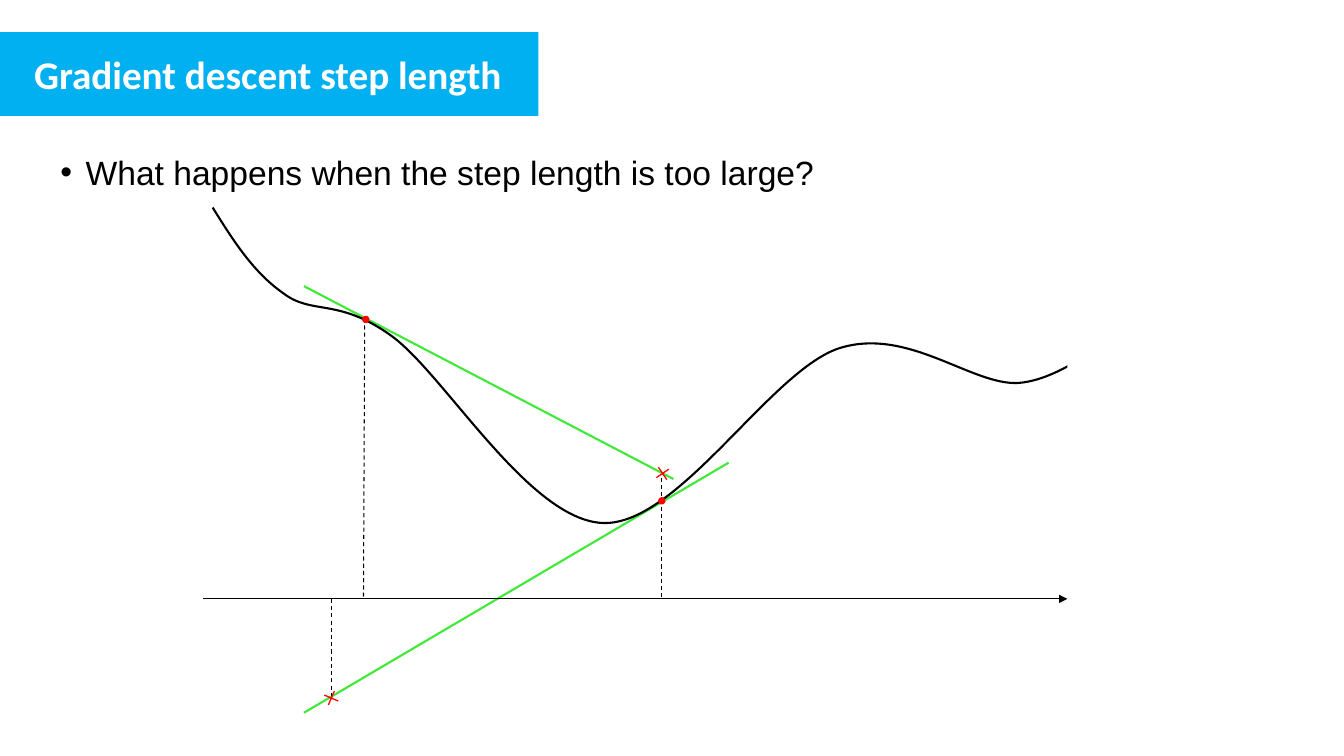
"""Build a slide on gradient descent with too large a step length."""
import pptx
import pptx.dml.color
import pptx.enum.dml
import pptx.enum.shapes
import pptx.enum.text
import pptx.oxml
import pptx.oxml.ns
import pptx.util
from pptx.util import Cm

BLACK = pptx.dml.color.RGBColor(0x00, 0x00, 0x00)
WHITE = pptx.dml.color.RGBColor(0xFF, 0xFF, 0xFF)
BANNER_BLUE = pptx.dml.color.RGBColor(0x00, 0xB0, 0xF0)
TANGENT_GREEN = pptx.dml.color.RGBColor(0x3F, 0xE9, 0x37)
POINT_RED = pptx.dml.color.RGBColor(0xFF, 0x00, 0x00)

AXIS_Y = 15.09
AXIS_END = 26.9
DOT_SIZE = 0.15
CROSS_SIZE = 0.38

LOSS_START = (5.36, 5.23)
LOSS_SEGMENTS = [
    ((5.87, 6.05), (6.38, 6.86), (7.14, 7.39)),
    ((7.87, 7.95), (8.51, 7.49), (9.86, 8.46)),
    ((11.2, 9.42), (13.34, 13.13), (15.21, 13.18)),
    ((17.09, 13.23), (19.38, 9.4), (21.11, 8.79)),
    ((22.86, 8.2), (24.49, 9.73), (25.68, 9.65)),
    ((26.87, 9.55), (28.24, 8.28), (28.24, 8.28)),
]
TANGENTS = [((7.66, 7.21), (16.97, 12.07)), ((7.66, 17.96), (18.36, 11.66))]
PROJECTIONS = [
    ((9.19, 8.2), (9.16, 15.04)),
    ((16.66, 12.04), (16.66, 15.06)),
    ((8.36, AXIS_Y), (8.36, 17.53)),
]
ITERATES = [(16.68, 12.62), (9.22, 8.05)]
PREDICTIONS = [((16.7, 11.93), 325.7), ((8.35, 17.59), 293.2)]


def add_run(paragraph, text, font_name, size, color, bold=False):
    """Append one formatted run to a paragraph."""
    run = paragraph.add_run()
    run.text = text
    run.font.name = font_name
    run.font.size = pptx.util.Pt(size)
    run.font.color.rgb = color
    run.font.bold = bold


def format_title(title, text):
    """Turn the title placeholder into the blue banner."""
    title.left, title.top, title.width, title.height = Cm(-0.08), Cm(0.81), Cm(13.65), Cm(2.11)
    title.fill.solid()
    title.fill.fore_color.rgb = BANNER_BLUE
    frame = title.text_frame
    frame.auto_size = pptx.enum.text.MSO_AUTO_SIZE.NONE
    frame.vertical_anchor = pptx.enum.text.MSO_ANCHOR.MIDDLE
    paragraph = frame.paragraphs[0]
    paragraph.alignment = pptx.enum.text.PP_ALIGN.CENTER
    add_run(paragraph, text, "Calibri", 28, WHITE, bold=True)


def add_question(slide, text):
    """Add the bulleted question below the banner."""
    question = slide.shapes.add_textbox(Cm(1.27), Cm(3.81), Cm(31.95), Cm(2.51))
    question.text_frame.word_wrap = True
    paragraph = question.text_frame.paragraphs[0]
    paragraph.line_spacing = 0.9
    properties = paragraph._p.get_or_add_pPr()
    properties.set("marL", str(Cm(0.64)))
    properties.set("indent", str(Cm(-0.64)))
    namespace = pptx.oxml.ns.nsdecls("a")
    properties.append(pptx.oxml.parse_xml(f'<a:buFont {namespace} typeface="Arial"/>'))
    properties.append(pptx.oxml.parse_xml(f'<a:buChar {namespace} char="•"/>'))
    add_run(paragraph, text, "Arial", 24, BLACK)


def add_line(slide, start, end, color, width, dashed=False, arrow=False):
    """Draw a straight line, optionally dashed or with an arrowhead."""
    line = slide.shapes.add_connector(
        pptx.enum.shapes.MSO_CONNECTOR.STRAIGHT, *map(Cm, start + end))
    line.line.color.rgb = color
    line.line.width = pptx.util.Pt(width)
    if dashed:
        line.line.dash_style = pptx.enum.dml.MSO_LINE.DASH
    namespace = pptx.oxml.ns.nsdecls("a")
    if arrow:
        line.line._get_or_add_ln().append(
            pptx.oxml.parse_xml(f'<a:tailEnd {namespace} type="triangle"/>'))
    line._element.spPr.append(pptx.oxml.parse_xml(f"<a:effectLst {namespace}/>"))


def bend_segments(freeform):
    """Join each three straight steps of a freeform into one cubic Bézier."""
    steps = list(freeform._element.iter(pptx.oxml.ns.qn("a:lnTo")))
    for first in range(0, len(steps), 3):
        bend = pptx.oxml.parse_xml(f'<a:cubicBezTo {pptx.oxml.ns.nsdecls("a")}/>')
        steps[first].addprevious(bend)
        for step in steps[first:first + 3]:
            bend.append(step[0])
            step.getparent().remove(step)


def add_loss_curve(slide):
    """Draw the smooth loss curve."""
    builder = slide.shapes.build_freeform(*map(Cm, LOSS_START))
    builder.add_line_segments(
        [(Cm(x), Cm(y)) for segment in LOSS_SEGMENTS for x, y in segment], close=False)
    curve = builder.convert_to_shape()
    bend_segments(curve)
    curve.shadow.inherit = False
    curve.fill.background()
    curve.line.color.rgb = BLACK
    curve.line.width = pptx.util.Pt(1.5)


def add_filled_shape(slide, kind, left, top, width, height, color):
    """Add a preset shape with a plain fill and no outline."""
    shape = slide.shapes.add_shape(kind, Cm(left), Cm(top), Cm(width), Cm(height))
    shape.shadow.inherit = False
    shape.fill.solid()
    shape.fill.fore_color.rgb = color
    shape.line.fill.background()
    return shape


def add_marker(slide, kind, center, size):
    """Add a red marker centred on a point."""
    left, top = (value - size / 2 for value in center)
    return add_filled_shape(slide, kind, left, top, size, size, POINT_RED)


def add_dot(slide, center):
    """Mark an iterate on the curve."""
    dot = add_marker(slide, pptx.enum.shapes.MSO_SHAPE.OVAL, center, DOT_SIZE)
    dot.line.color.rgb = POINT_RED
    dot.line.width = pptx.util.Pt(1)


def add_cross(slide, center, angle):
    """Mark a predicted value on a tangent."""
    cross = add_marker(slide, pptx.enum.shapes.MSO_SHAPE.CROSS, center, CROSS_SIZE)
    cross.adjustments[0] = 0.456
    cross.rotation = angle


def main():
    """Compose and save the slide."""
    presentation = pptx.Presentation()
    presentation.slide_width, presentation.slide_height = Cm(33.87), Cm(19.05)
    slide = presentation.slides.add_slide(presentation.slide_layouts[5])
    format_title(slide.shapes.title, "Gradient descent step length")
    add_question(slide, "What happens when the step length is too large?")
    for start, end in TANGENTS:
        add_line(slide, start, end, TANGENT_GREEN, 1.5)
    add_loss_curve(slide)
    add_filled_shape(slide, pptx.enum.shapes.MSO_SHAPE.RECTANGLE,
                     AXIS_END, 6.5, 1.63, 6.15, WHITE)
    add_line(slide, (5.12, AXIS_Y), (AXIS_END, AXIS_Y), BLACK, 0.75, arrow=True)
    for start, end in PROJECTIONS:
        add_line(slide, start, end, BLACK, 0.75, dashed=True)
    for center in ITERATES:
        add_dot(slide, center)
    for center, angle in PREDICTIONS:
        add_cross(slide, center, angle)
    presentation.save("out.pptx")


if __name__ == "__main__":
    main()
